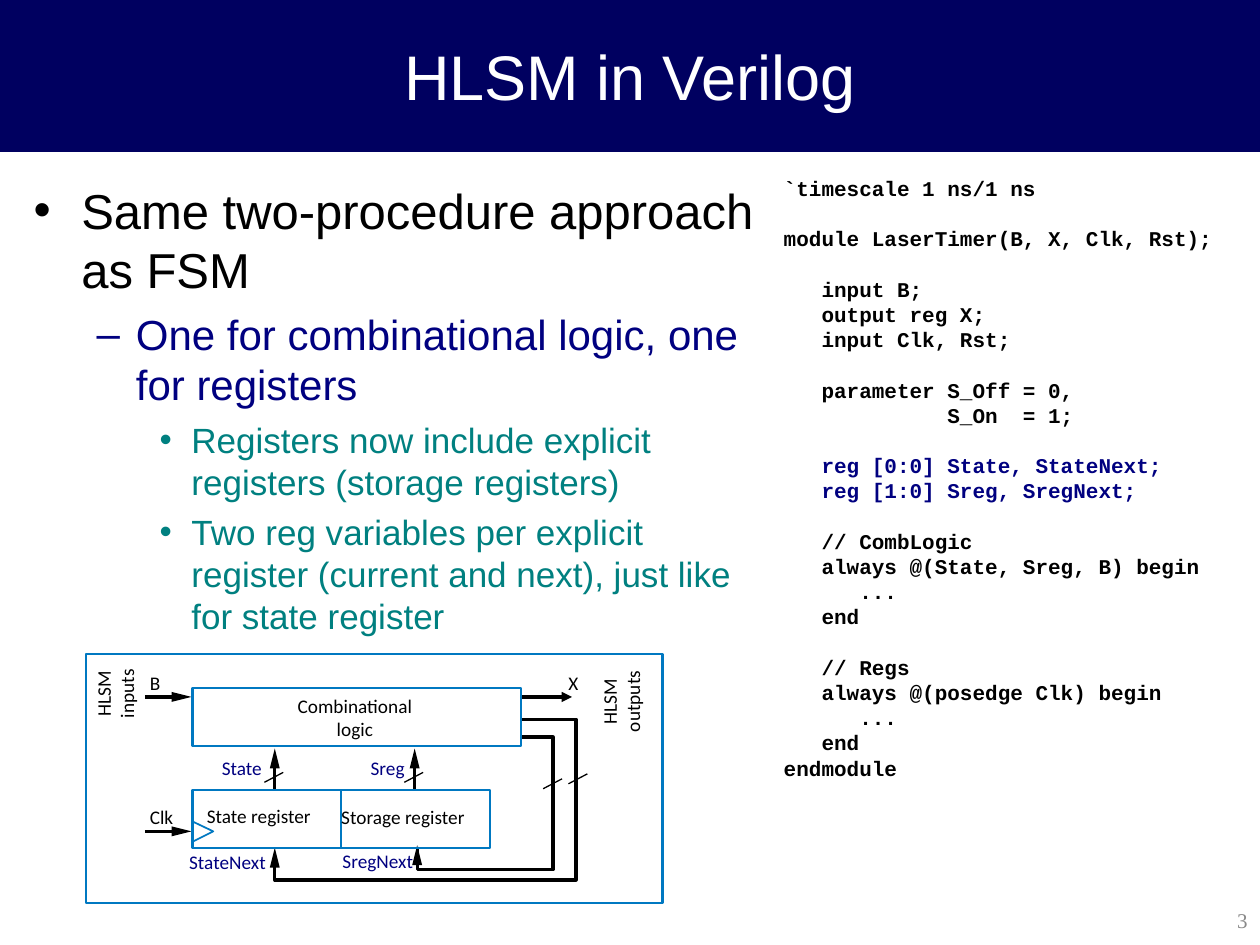
from lxml.etree import SubElement
from pptx import Presentation
from pptx.dml.color import RGBColor
from pptx.enum.shapes import MSO_CONNECTOR as Connector, MSO_SHAPE as Preset
from pptx.enum.text import MSO_ANCHOR as Anchor, PP_ALIGN as Align
from pptx.oxml.ns import qn
from pptx.util import Cm, Pt

BLACK = RGBColor(0x00, 0x00, 0x00)
WHITE = RGBColor(0xFF, 0xFF, 0xFF)
NAVY = RGBColor(0x00, 0x00, 0x60)
BLUE = RGBColor(0x00, 0x00, 0x80)
TEAL = RGBColor(0x00, 0x80, 0x80)
BOX_BLUE = RGBColor(0x00, 0x78, 0xC1)
GREY = RGBColor(0x89, 0x89, 0x89)

WIRE, OUTLINE, THIN = 1.87, 1.39, 0.75
HEAD_LENGTH, HEAD_HALF = 0.4, 0.1
CODE_LEADING = Pt(14.4)

LEVELS = [
    (0.96, 0.96, "•", 28, BLACK, 0),
    (2.06, 0.79, "–", 24, BLUE, 6),
    (3.18, 0.64, "•", 20, TEAL, 5),
]
OUTLINE_POINTS = [
    (0, "Same two-procedure approach as FSM"),
    (1, "One for combinational logic, one for registers"),
    (2, "Registers now include explicit registers (storage registers)"),
    (2, "Two reg variables per explicit register (current and next), "
        "just like for state register"),
]
CODE = """`timescale 1 ns/1 ns

module LaserTimer(B, X, Clk, Rst);

   input B;
   output reg X;
   input Clk, Rst;

   parameter S_Off = 0,
             S_On  = 1;

   reg [0:0] State, StateNext;
   reg [1:0] Sreg, SregNext;

   // CombLogic
   always @(State, Sreg, B) begin
      ...
   end

   // Regs
   always @(posedge Clk) begin
      ...
   end
endmodule"""
LABELS = [
    ("Combinational\nlogic", 4.27, 14.0, 5.77, BLACK, Align.CENTER),
    ("State register", 4.17, 16.21, 2.46, BLACK, Align.LEFT),
    ("Storage register", 6.88, 16.23, 2.97, BLACK, Align.LEFT),
    ("State", 4.34, 15.24, 0.94, BLUE, Align.RIGHT),
    ("Sreg", 7.32, 15.24, 0.84, BLUE, Align.RIGHT),
    ("StateNext", 3.56, 17.15, 1.8, BLUE, Align.RIGHT),
    ("SregNext", 6.63, 17.12, 1.7, BLUE, Align.RIGHT),
    ("B", 3.02, 13.54, 0.25, BLACK, Align.LEFT),
    ("X", 11.46, 13.54, 0.23, BLACK, Align.LEFT),
    ("Clk", 3.02, 16.23, 0.56, BLACK, Align.LEFT),
]
SIDE_LABELS = [
    ("HLSM\ninputs", 1.75, 13.51, 1.14, BLACK, Align.CENTER),
    ("HLSM\noutputs", 11.81, 13.67, 1.42, BLACK, Align.CENTER),
]


def add_frame(shapes, x, y, width, height, inset=None, wrap=True):
    box = shapes.add_textbox(Cm(x), Cm(y), Cm(width), Cm(height))
    frame = box.text_frame
    frame.word_wrap = wrap
    if inset is not None:
        frame.margin_left = frame.margin_right = Cm(inset)
        frame.margin_top = frame.margin_bottom = Cm(inset)
    return box, frame


def next_paragraph(frame, index):
    return frame.add_paragraph() if index else frame.paragraphs[0]


def add_run(paragraph, words, size, face, color, bold=False):
    run = paragraph.add_run()
    run.text = words
    run.font.size, run.font.name, run.font.bold = Pt(size), face, bold
    run.font.color.rgb = color


def add_line_of_text(shapes, words, place, size, face, color, align):
    _, frame = add_frame(shapes, *place)
    frame.vertical_anchor = Anchor.MIDDLE
    frame.paragraphs[0].alignment = align
    add_run(frame.paragraphs[0], words, size, face, color)


def add_label(shapes, words, x, y, width, color, align, rotation=0):
    lines = words.split("\n")
    wrap = len(lines) > 1 and not rotation
    label, frame = add_frame(shapes, x, y, width, 0.47 * len(lines), 0, wrap)
    label.rotation = rotation
    for index, line in enumerate(lines):
        paragraph = next_paragraph(frame, index)
        paragraph.alignment = align
        add_run(paragraph, line, 11, "Calibri", color)


def add_outline(shapes):
    _, frame = add_frame(shapes, 0.43, 3.51, 15.01, 14.53)
    for index, (level, words) in enumerate(OUTLINE_POINTS):
        margin, hang, mark, size, color, before = LEVELS[level]
        paragraph = next_paragraph(frame, index)
        paragraph.level = level
        props = paragraph._p.get_or_add_pPr()
        props.set("marL", str(Cm(margin)))
        props.set("indent", str(-Cm(hang)))
        tint = SubElement(props, qn("a:buClr"))
        SubElement(tint, qn("a:srgbClr")).set("val", str(color))
        SubElement(props, qn("a:buFont")).set("typeface", "Arial")
        SubElement(props, qn("a:buChar")).set("char", mark)
        if index:
            paragraph.space_before = Pt(before)
        add_run(paragraph, words, size, "Arial", color)


def add_code(shapes):
    _, frame = add_frame(shapes, 15.8, 3.54, 9.22, 12.7, 0)
    for block_index, block in enumerate(CODE.split("\n\n")):
        color = BLUE if block.startswith("   reg") else BLACK
        for line_index, line in enumerate(block.split("\n")):
            paragraph = next_paragraph(frame, block_index + line_index)
            paragraph.line_spacing = CODE_LEADING
            if block_index and not line_index:
                paragraph.space_before = CODE_LEADING
            add_run(paragraph, line, 12, "Courier New", color, True)


def add_box(shapes, x, y, width, height, line_color, weight, fill=None):
    box = shapes.add_shape(Preset.RECTANGLE, Cm(x), Cm(y), Cm(width), Cm(height))
    box.shadow.inherit = False
    if fill is None:
        box.fill.background()
    else:
        box.fill.solid()
        box.fill.fore_color.rgb = fill
    box.line.color.rgb, box.line.width = line_color, Pt(weight)


def add_path(shapes, points, color, weight=None):
    start, *rest = [(Cm(x), Cm(y)) for x, y in points]
    builder = shapes.build_freeform(*start)
    builder.add_line_segments(rest, close=weight is None)
    path_shape = builder.convert_to_shape()
    path_shape.shadow.inherit = False
    if weight is None:
        path_shape.fill.solid()
        path_shape.fill.fore_color.rgb = color
        path_shape.line.fill.background()
    else:
        path_shape.fill.background()
        path_shape.line.color.rgb, path_shape.line.width = color, Pt(weight)


def add_wire(shapes, x1, y1, x2, y2, weight, arrow=False):
    wire = shapes.add_connector(Connector.STRAIGHT, Cm(x1), Cm(y1), Cm(x2), Cm(y2))
    wire.line.color.rgb, wire.line.width = BLACK, Pt(weight)
    if arrow:
        SubElement(wire.line._get_or_add_ln(), qn("a:tailEnd")).set("type", "triangle")
    SubElement(wire._element.spPr, qn("a:effectLst"))


def add_head_right(shapes, x, y):
    back = x - HEAD_LENGTH
    add_path(shapes, [(x, y), (back, y - HEAD_HALF), (back, y + HEAD_HALF)], BLACK)


def add_head_up(shapes, x, y):
    back = y + HEAD_LENGTH
    add_path(shapes, [(x, y), (x - HEAD_HALF, back), (x + HEAD_HALF, back)], BLACK)


def add_diagram(shapes):
    add_box(shapes, 1.73, 13.18, 11.63, 5.02, BOX_BLUE, OUTLINE)
    for y in (14.05, 16.76):
        add_wire(shapes, 2.92, y, 3.53, y, WIRE)
        add_head_right(shapes, 3.86, y)
    add_wire(shapes, 10.52, 14.05, 11.53, 14.05, WIRE, arrow=True)
    for x in (5.54, 8.36):
        add_wire(shapes, x, 15.93, x, 15.42, WIRE)
        add_head_up(shapes, x, 15.09)
    add_path(shapes, [(5.54, 17.42), (5.54, 17.74), (11.61, 17.74),
                      (11.61, 14.5), (10.52, 14.5)], BLACK, WIRE)
    add_path(shapes, [(8.41, 17.07), (8.41, 17.53), (11.15, 17.53),
                      (11.15, 14.86), (10.52, 14.86)], BLACK, WIRE)
    add_head_up(shapes, 5.54, 17.09)
    add_head_up(shapes, 8.41, 17.04)
    for x, y, width in ((3.88, 13.87, 6.63), (3.88, 15.93, 3), (6.88, 15.93, 3)):
        add_box(shapes, x, y, width, 1.17, BOX_BLUE, OUTLINE)
    add_path(shapes, [(3.88, 16.97), (4.3, 16.76), (3.88, 16.56)], BOX_BLUE, 1)
    for x, y in ((5.33, 15.77), (8.15, 15.77), (10.95, 15.9), (11.46, 15.8)):
        add_wire(shapes, x, y, x + 0.38, y - 0.2, THIN)
    for label in LABELS:
        add_label(shapes, *label)
    for label in SIDE_LABELS:
        add_label(shapes, *label, rotation=270)


def main():
    deck = Presentation()
    deck.slide_width, deck.slide_height = Cm(25.4), Cm(19.05)
    shapes = deck.slides.add_slide(deck.slide_layouts[6]).shapes
    title_band = (0, 0, 25.4, 3.05)
    add_box(shapes, *title_band, NAVY, THIN, NAVY)
    add_line_of_text(shapes, "HLSM in Verilog", title_band, 36, "Arial",
                     WHITE, Align.CENTER)
    add_outline(shapes)
    add_line_of_text(shapes, "3", (20.02, 18.03, 5.38, 1.02), 12,
                     "Times New Roman", GREY, Align.RIGHT)
    add_diagram(shapes)
    add_code(shapes)
    deck.save("out.pptx")


if __name__ == "__main__":
    main()
